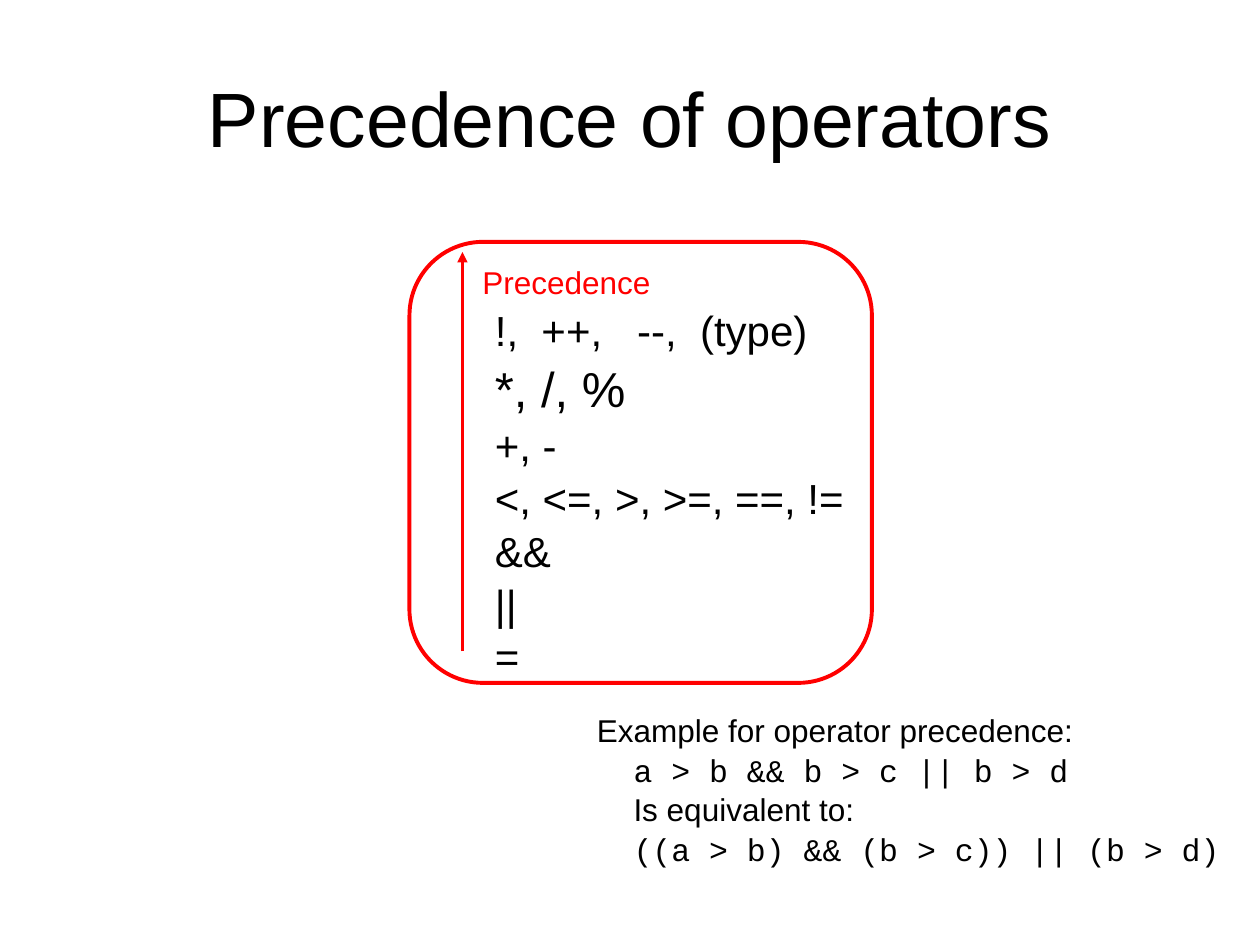
from lxml import etree
from pptx import Presentation
from pptx.dml.color import RGBColor
from pptx.enum import shapes, text
from pptx.oxml import ns
from pptx.util import Inches, Pt

BLACK = RGBColor(0, 0, 0)
RED = RGBColor(255, 0, 0)
SANS, MONO = "Arial", "Courier New"

OPERATORS = [
    ("!,  ++,   --,  (type)", 24),
    ("*, /, %", 28),
    ("+, -", 24),
    ("<, <=, >, >=, ==, !=", 24),
    ("&&", 24),
    ("||", 24),
    ("=", 24),
]
# Wording, font, left indent
EXAMPLE = [
    ("Example for operator precedence:", SANS, Inches(0.21)),
    ("a > b && b > c || b > d", MONO, Inches(0.5)),
    ("Is equivalent to:", SANS, Inches(0.5)),
    ("((a > b) && (b > c)) || (b > d)", MONO, Inches(0.5)),
]


def write(para, wording, size, color=BLACK, name=SANS):
    span = para.add_run()
    span.text = wording
    span.font.color.rgb = color
    for key, value in {"size": Pt(size), "name": name}.items():
        setattr(span.font, key, value)


def add_text(page, box, lines, spacing=1.05):
    """Add a text box; each line is (wording, size, color, font, indent)."""
    frame = page.shapes.add_textbox(*box).text_frame
    frame.word_wrap = True
    for number, (wording, size, color, name, indent) in enumerate(lines):
        para = frame.add_paragraph() if number else frame.paragraphs[0]
        para.line_spacing = spacing
        if indent:
            props = para._p.get_or_add_pPr()
            props.set("marL", str(int(indent)))
            props.set("indent", "0")
        write(para, wording, size, color, name)


def add_title(page, box):
    title = page.shapes.title
    for key, value in zip(("left", "top", "width", "height"), box):
        setattr(title, key, value)
    title.text_frame.vertical_anchor = text.MSO_ANCHOR.MIDDLE
    para = title.text_frame.paragraphs[0]
    para.alignment = text.PP_ALIGN.CENTER
    write(para, "Precedence of operators", 44)


def add_precedence(page, box):
    left, top, width, height = box

    # Arrow pointing to the highest precedence
    arrow_x = left + Inches(0.42)
    arrow = page.shapes.add_connector(
        shapes.MSO_CONNECTOR.STRAIGHT,
        arrow_x, top + Inches(3.25), arrow_x, top + Inches(0.08))
    arrow.line.color.rgb = RED
    arrow.line.width = Pt(1.5)
    line = arrow.line._get_or_add_ln()
    etree.SubElement(line, ns.qn("a:tailEnd"), type="triangle")
    etree.SubElement(arrow._element.spPr, ns.qn("a:effectLst"))

    # Operators, highest first, and the arrow's label
    add_text(page,
             (left + Inches(0.58), top + Inches(0.43), Inches(3), Inches(2.97)),
             [(wording, size, BLACK, SANS, 0) for wording, size in OPERATORS])
    add_text(page,
             (left + Inches(0.48), top + Inches(0.1), Inches(1.6), Inches(0.4)),
             [("Precedence", 18, RED, SANS, 0)])

    # Rounded frame
    frame = page.shapes.add_shape(
        shapes.MSO_SHAPE.ROUNDED_RECTANGLE, left, top, width, height)
    frame.shadow.inherit = False
    frame.fill.background()
    frame.line.color.rgb = RED
    frame.line.width = Pt(2.25)


def add_example(page, box):
    add_text(page, box, [(wording, 18, BLACK, name, indent)
                         for wording, name, indent in EXAMPLE])


def main():
    deck = Presentation()
    deck.slide_width, deck.slide_height = Inches(10), Inches(7.5)
    page = deck.slides.add_slide(deck.slide_layouts.get_by_name("Title Only"))
    add_title(page, (Inches(0.5), Inches(0.3), Inches(9), Inches(1.25)))
    add_precedence(page, (Inches(3.25), Inches(1.92), Inches(3.67), Inches(3.5)))
    add_example(page, (Inches(4.43), Inches(5.58), Inches(5.5), Inches(1.6)))
    deck.save("out.pptx")


if __name__ == "__main__":
    main()
